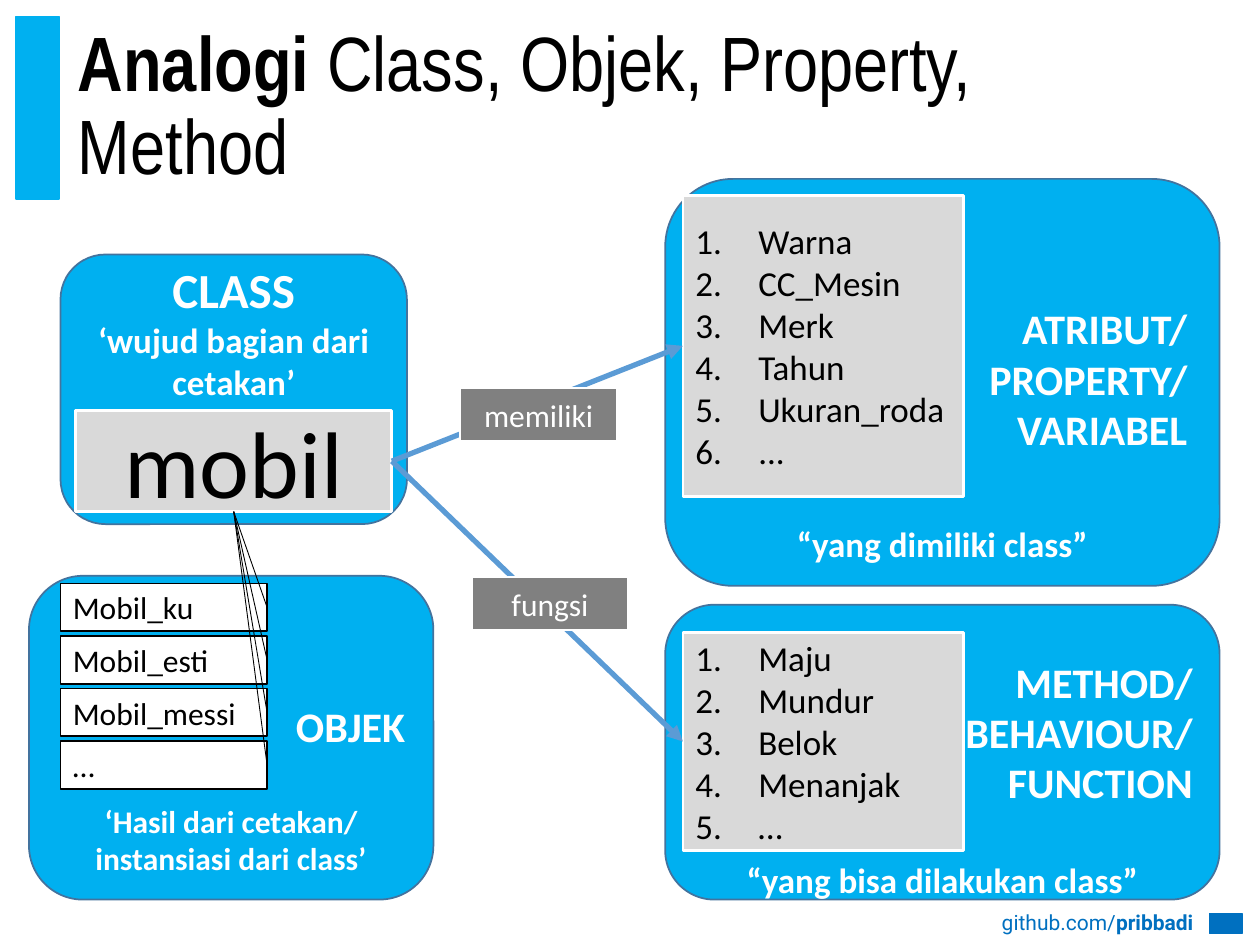
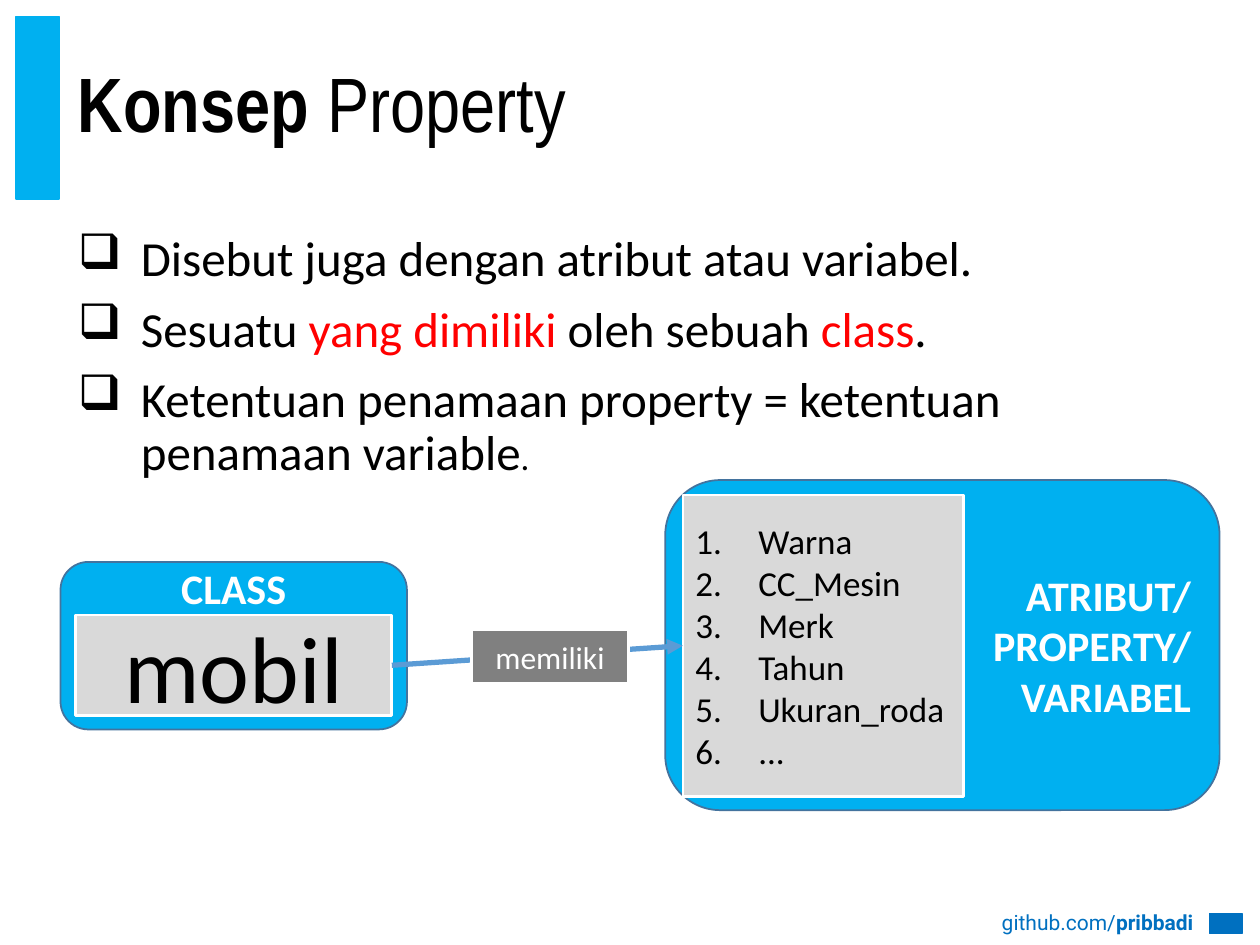
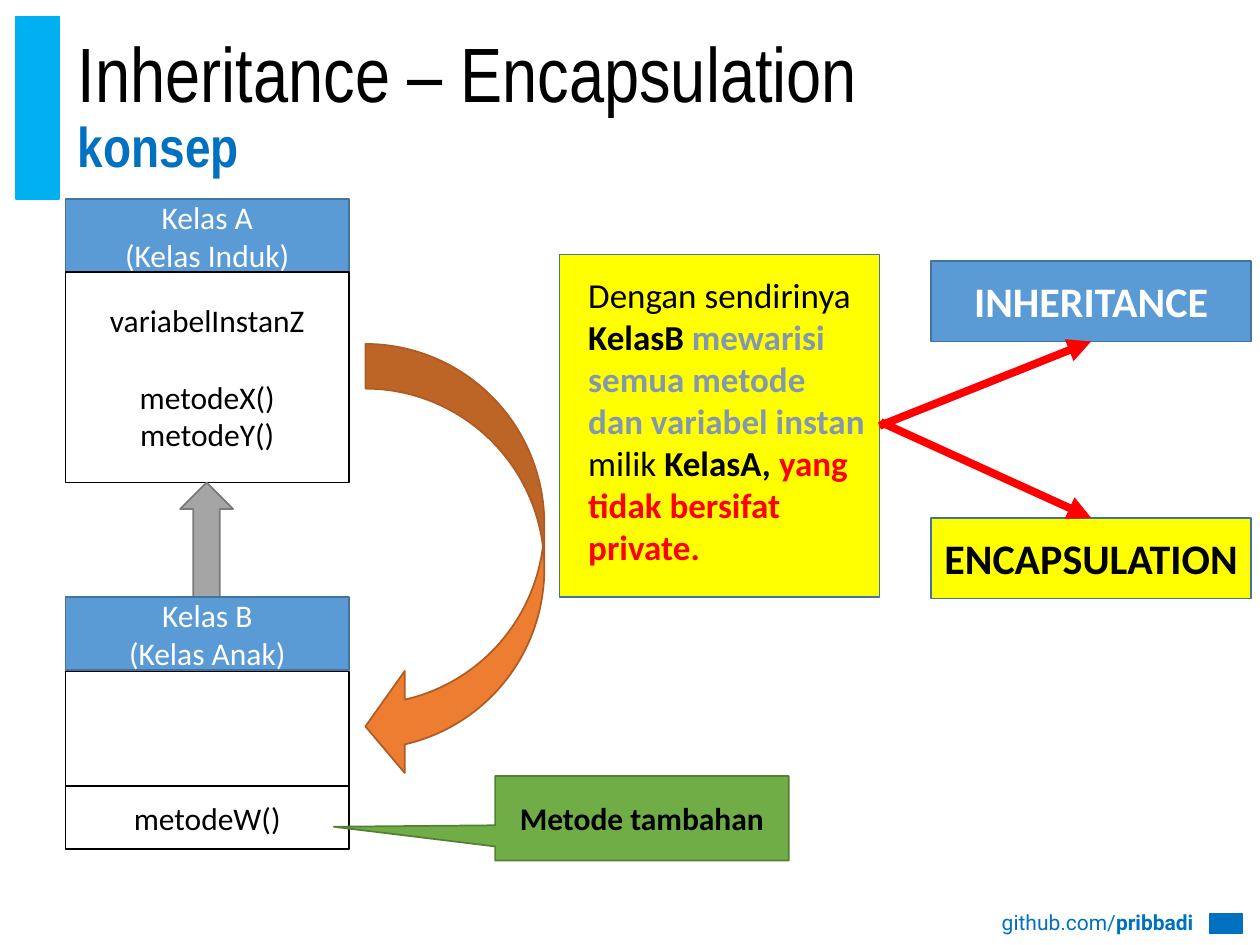
from dataclasses import dataclass

from lxml import etree
from pptx import Presentation
from pptx import util as u
from pptx.dml.color import RGBColor
from pptx.enum import shapes, text
from pptx.oxml.ns import qn

SHAPE = shapes.MSO_SHAPE
ALIGN = text.PP_ALIGN
ANCHOR = text.MSO_ANCHOR


@dataclass(frozen=True)
class Theme:
    sky: str = "00B0F0"
    blue: str = "5B9BD5"
    blue_edge: str = "43739E"
    link: str = "0070C0"
    slate: str = "8497B0"
    grey: str = "808080"
    light: str = "D9D9D9"
    arrow: str = "A5A5A5"
    arrow_edge: str = "7A7A7A"
    orange: str = "ED7D31"
    orange_edge: str = "AF5C24"
    green: str = "70AD47"
    green_edge: str = "538035"
    yellow: str = "FFFF00"
    red: str = "FF0000"
    white: str = "FFFFFF"
    black: str = "000000"
    body_font: str = "Calibri"
    title_font: str = "Arial Narrow"
    footer_font: str = "Roboto"
    title: int = 44
    subtitle: int = 32
    large: int = 28
    head: int = 24
    item: int = 20
    label: int = 18
    footer: int = 12
    huge: int = 54


T = Theme()
ATTRIBUTES = ["Warna", "CC_Mesin", "Merk", "Tahun", "Ukuran_roda", "..."]
METHODS = ["Maju", "Mundur", "Belok", "Menanjak", "…"]
ATTRIBUTE_HEAD = ["ATRIBUT/", "PROPERTY/", "VARIABEL"]
METHOD_HEAD = ["METHOD/", "BEHAVIOUR/", "FUNCTION"]


def rgb(color):
    return RGBColor.from_string(color)


def add_bullet(p, bullet):
    pPr = p._p.get_or_add_pPr()
    pPr.set("marL", str(u.Inches(0.5)))
    pPr.set("indent", str(-u.Inches(0.5)))
    if bullet == "number":
        etree.SubElement(pPr, qn("a:buAutoNum"), type="arabicPeriod")
    else:
        etree.SubElement(pPr, qn("a:buChar"), char=bullet)


def write(sp, content, size=T.label, color=T.black, bold=False, font=T.body_font,
          align=ALIGN.LEFT, bullet=None, gap=0, spacing=None):
    tf = sp.text_frame
    p = tf.paragraphs[0]
    if p.runs:
        p = tf.add_paragraph()
        p.space_before = u.Pt(gap)
    p.alignment = align
    if spacing:
        p.line_spacing = spacing
    if bullet:
        add_bullet(p, bullet)
    for words, changes in [(content, {})] if isinstance(content, str) else content:
        if words == "\n":
            p.add_line_break()
            continue
        look = {"size": size, "color": color, "bold": bold, **changes}
        r = p.add_run()
        r.text = words
        r.font.name = font
        r.font.size = u.Pt(look["size"])
        r.font.bold = look["bold"]
        r.font.color.rgb = rgb(look["color"])


def write_lines(sp, lines, **fmt):
    for line in lines:
        write(sp, line, **fmt)


def frame(sp, anchor=ANCHOR.MIDDLE, top=0.05, bottom=0.05):
    tf = sp.text_frame
    tf.word_wrap = True
    tf.vertical_anchor = anchor
    tf.margin_top, tf.margin_bottom = u.Inches(top), u.Inches(bottom)
    return sp


def add_box(s, x, y, w, h, fill, line, kind=SHAPE.RECTANGLE, width=1, adj=(), **margins):
    sp = s.shapes.add_shape(kind, *map(u.Inches, (x, y, w, h)))
    sp.shadow.inherit = False
    sp.fill.solid()
    sp.fill.fore_color.rgb = rgb(fill)
    sp.line.color.rgb = rgb(line)
    sp.line.width = u.Pt(width)
    for i, value in enumerate(adj):
        sp.adjustments[i] = value
    return frame(sp, **margins)


def add_textbox(s, x, y, w, h, **margins):
    return frame(s.shapes.add_textbox(*map(u.Inches, (x, y, w, h))), **margins)


def add_panel(s, x, y, w, h, **margins):
    return add_box(s, x, y, w, h, T.sky, T.blue_edge, SHAPE.ROUNDED_RECTANGLE, **margins)


def add_heading(panel, lines):
    write_lines(panel, lines, size=T.head, color=T.white, bold=True, align=ALIGN.RIGHT)


def add_caption(panel, caption, size, gap=0):
    write(panel, caption, size=size, color=T.white, bold=True, align=ALIGN.CENTER, gap=gap)


def add_list(s, y, h, items):
    sp = add_box(s, 5.42, y, 2.23, h, T.light, T.white, width=1.5)
    write_lines(sp, items, size=T.item, bullet="number")
    return sp


def add_class(s, y):
    sp = add_box(s, 0.6, y, 2.51, 0.8, T.light, T.white, width=1.5)
    write(sp, "mobil", size=T.huge, align=ALIGN.CENTER)
    return sp


def add_label(s, x, y, words):
    sp = add_box(s, x, y, 1.25, 0.42, T.grey, T.white, width=1.5)
    write(sp, words, color=T.white, align=ALIGN.CENTER)


def add_link(s, start, start_side, end, end_side, color, width, arrow=True):
    c = s.shapes.add_connector(shapes.MSO_CONNECTOR.STRAIGHT, 0, 0, 0, 0)
    c.begin_connect(start, start_side)
    c.end_connect(end, end_side)
    c.line.color.rgb = rgb(color)
    c.line.width = u.Pt(width)
    if arrow:
        etree.SubElement(c.line._get_or_add_ln(), qn("a:tailEnd"), type="triangle")
    etree.SubElement(c._element.spPr, qn("a:effectLst"))


def add_slide(prs, title):
    s = prs.slides.add_slide(prs.slide_layouts[6])
    address = add_textbox(s, 7.9, 7.15, 1.67, 0.33)
    address.text_frame.margin_left = 0
    write(address, [("github.com/", {}), ("pribbadi", {"bold": True})], size=T.footer,
          color=T.link, font=T.footer_font, align=ALIGN.RIGHT)
    add_box(s, 9.6, 7.25, 0.26, 0.16, T.link, T.link)
    add_box(s, 0.13, 0.13, 0.34, 1.45, T.sky, T.sky)
    write(add_textbox(s, 0.52, 0.13, 9.08, 1.45), title, size=T.title,
          font=T.title_font, spacing=0.9)
    return s


def analogy_slide(prs):
    s = add_slide(prs, [("Analogi ", {"bold": True}), ("Class, Objek, Property, Method", {})])

    objects = add_panel(s, 0.23, 4.57, 3.21, 2.57, top=0.86)
    add_heading(objects, ["OBJEK"])
    add_caption(objects, "‘Hasil dari cetakan/ instansiasi dari class’", T.label, gap=29)
    methods = add_panel(s, 5.28, 4.8, 4.4, 2.34, top=0.46)
    add_heading(methods, METHOD_HEAD)
    add_caption(methods, "“yang bisa dilakukan class”", T.item, gap=29)
    attributes = add_panel(s, 5.28, 1.42, 4.4, 3.23, top=0.86)
    add_heading(attributes, ATTRIBUTE_HEAD)
    add_caption(attributes, "“yang dimiliki class”", T.item, gap=39)
    classes = add_panel(s, 0.48, 2.02, 2.75, 2.14, bottom=0.97)
    add_caption(classes, "CLASS", T.large)
    add_caption(classes, "‘wujud bagian dari cetakan’", T.item)

    car = add_class(s, 3.26)
    for y, h, items in [(1.55, 2.39, ATTRIBUTES), (5.02, 1.73, METHODS)]:
        add_link(s, car, 3, add_list(s, y, h, items), 1, T.blue, 3)
    add_label(s, 3.65, 3.08, "memiliki")
    add_label(s, 3.74, 4.58, "fungsi")

    names = []
    for i, name in enumerate(["Mobil_ku", "Mobil_esti", "Mobil_messi", "…"]):
        names.append(add_box(s, 0.48, 4.63 + i * 0.417, 1.64, 0.38, T.white, T.black))
        write(names[-1], name)
    for name in names:
        add_link(s, car, 2, name, 3, T.black, 0.5, arrow=False)


def property_slide(prs):
    s = add_slide(prs, [("Konsep ", {"bold": True}), ("Property", {})])
    red = {"color": T.red}
    points = [
        "Disebut juga dengan atribut atau variabel.",
        [("Sesuatu ", {}), ("yang dimiliki ", red), ("oleh sebuah ", {}), ("class", red), (".", {})],
        [("Ketentuan penamaan property = ketentuan penamaan variable", {}), (".", {"size": T.item})],
    ]
    body = add_textbox(s, 0.52, 1.81, 9.1, 5.31, anchor=ANCHOR.TOP)
    write_lines(body, points, size=T.large, bullet="❑", gap=10, spacing=0.9)

    add_heading(add_panel(s, 5.28, 3.81, 4.4, 2.62), ATTRIBUTE_HEAD)
    add_caption(add_panel(s, 0.48, 4.46, 2.75, 1.33, bottom=0.97), "CLASS", T.head)
    attributes = add_list(s, 3.93, 2.39, ATTRIBUTES)
    add_link(s, add_class(s, 4.88), 3, attributes, 1, T.blue, 3)
    add_label(s, 3.74, 5, "memiliki")


def add_class_row(s, y, h, lines=(), header=False):
    fill, line, color = (T.blue, T.blue_edge, T.white) if header else (T.white, T.black, T.black)
    sp = add_box(s, 0.52, y, 2.25, h, fill, line)
    write_lines(sp, lines, color=color, align=ALIGN.CENTER)
    return sp


def add_concept(s, y, words, fill, color):
    sp = add_box(s, 7.39, y, 2.54, 0.64, fill, T.blue_edge)
    write(sp, words, size=T.head, color=color, bold=True, align=ALIGN.CENTER)
    return sp


def inheritance_slide(prs):
    s = add_slide(prs, [
        ("Inheritance – Encapsulation", {}), ("\n", {}),
        ("konsep", {"size": T.subtitle, "color": T.link, "bold": True}),
    ])
    note_box = add_box(s, 4.44, 2.02, 2.54, 2.72, T.yellow, T.blue_edge)

    add_class_row(s, 1.58, 0.58, ["Kelas A", "(Kelas Induk)"], header=True)
    members = add_class_row(s, 2.16, 1.67, ["variabelInstanZ"])
    write(members, "metodeX()", align=ALIGN.CENTER, gap=22)
    write(members, "metodeY()", align=ALIGN.CENTER)
    add_box(s, 1.43, 3.83, 0.42, 0.92, T.arrow, T.arrow_edge, SHAPE.UP_ARROW)
    add_class_row(s, 4.74, 0.58, ["Kelas B", "(Kelas Anak)"], header=True)
    add_class_row(s, 5.33, 0.92)
    add_class_row(s, 6.24, 0.5, ["metodeW()"])

    add_box(s, 2.9, 2.73, 1.42, 3.44, T.orange, T.orange_edge, SHAPE.CURVED_LEFT_ARROW,
            adj=(0.25, 0.57, 0.22))
    note = add_textbox(s, 4.57, 2.12, 2.42, 2.46, anchor=ANCHOR.TOP)
    write(note, [
        ("Dengan sendirinya ", {}),
        ("KelasB ", {"bold": True}),
        ("mewarisi semua metode dan variabel instan ", {"bold": True, "color": T.slate}),
        ("milik ", {}),
        ("KelasA, ", {"bold": True}),
        ("yang tidak bersifat private.", {"bold": True, "color": T.red}),
    ], size=T.item)
    extra = add_box(s, 3.93, 6.16, 2.33, 0.67, T.green, T.green_edge,
                    SHAPE.RECTANGULAR_CALLOUT, adj=(-1.05, 0.1))
    write(extra, "Metode tambahan", bold=True, align=ALIGN.CENTER)

    encapsulation = add_concept(s, 4.11, "ENCAPSULATION", T.yellow, T.black)
    inheritance = add_concept(s, 2.07, "INHERITANCE", T.blue, T.white)
    add_link(s, note_box, 3, inheritance, 2, T.red, 4.5)
    add_link(s, note, 3, encapsulation, 0, T.red, 4.5)


def main():
    prs = Presentation()
    prs.slide_width, prs.slide_height = u.Inches(10), u.Inches(7.5)
    analogy_slide(prs)
    property_slide(prs)
    inheritance_slide(prs)
    prs.save("out.pptx")


if __name__ == "__main__":
    main()
